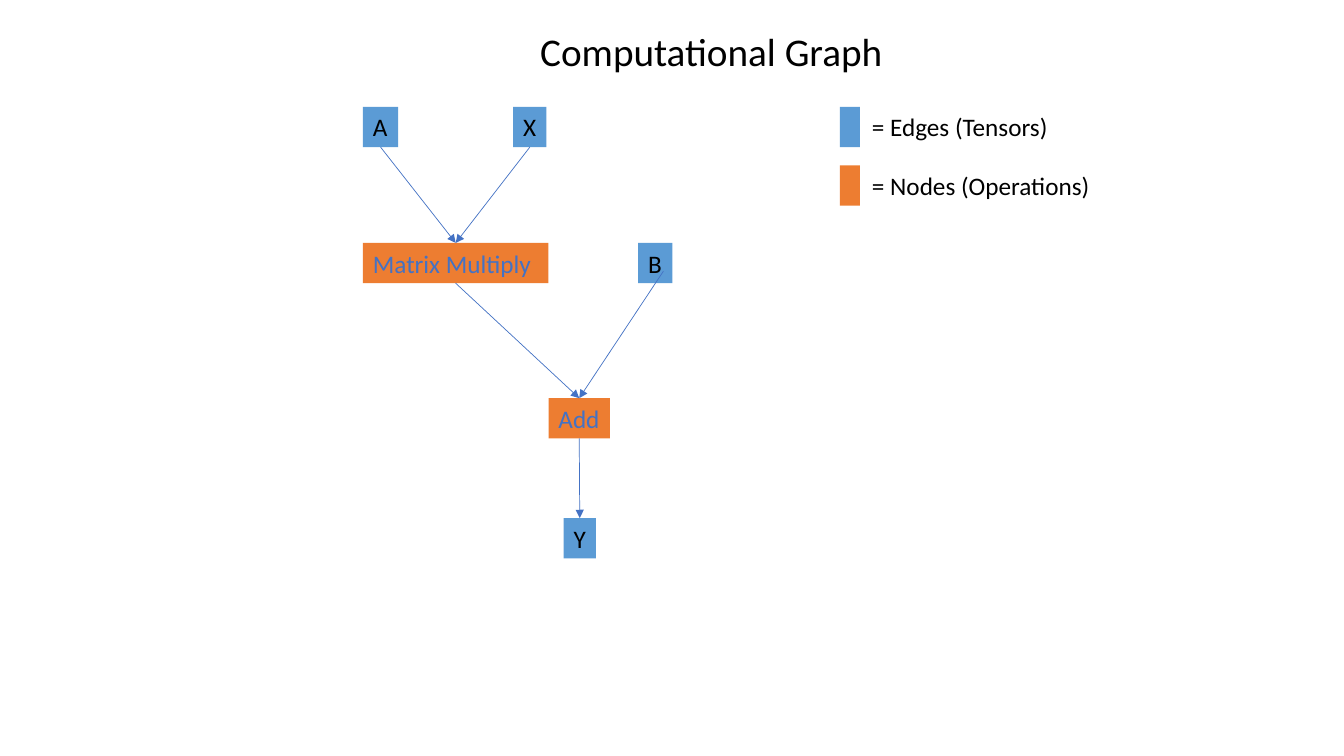
from lxml import etree
from pptx import Presentation
from pptx.dml.color import RGBColor
from pptx.enum.shapes import MSO_CONNECTOR, MSO_SHAPE
from pptx.enum.text import MSO_ANCHOR, PP_ALIGN
from pptx.oxml.ns import qn
from pptx.util import Inches, Pt

RECTANGLE = MSO_SHAPE.RECTANGLE
STRAIGHT = MSO_CONNECTOR.STRAIGHT
TOP = MSO_ANCHOR.TOP
LEFT = PP_ALIGN.LEFT

BLUE, ORANGE, INK, LINK = "5B9BD5", "ED7D31", "000000", "4472C4"
BOX_HEIGHT = 0.4
TOP_SITE, BOTTOM_SITE = 0, 2

TENSORS = [("A", 3.6, 1.06, 0.35), ("X", 5.09, 1.06, 0.33),
           ("B", 6.33, 2.41, 0.34), ("Y", 5.59, 5.14, 0.32)]
OPERATIONS = [("Matrix Multiply", 3.6, 2.41, 1.84), ("Add", 5.44, 3.95, 0.61)]
LINKS = [("A", "Matrix Multiply"), ("X", "Matrix Multiply"),
         ("Matrix Multiply", "Add"), ("Add", "Y")]
LEGEND = [("= Edges (Tensors)", BLUE, 1.97), ("= Nodes (Operations)", ORANGE, 2.39)]


def color(value):
    """Turn a hex string into a colour."""
    return RGBColor.from_string(value)


def apply_format(target, values):
    """Set each attribute named in values on the target."""
    for name, value in values.items():
        setattr(target, name, value)


def write_text(box, text, size, ink):
    """Write one left-aligned line into a shape."""
    frame = box.text_frame
    apply_format(frame, {"word_wrap": True, "vertical_anchor": TOP, "margin_right": 0})
    para = frame.paragraphs[0]
    para.alignment = LEFT
    span = para.add_run()
    span.text = text
    apply_format(span.font, {"name": "Calibri", "size": Pt(size)})
    span.font.color.rgb = color(ink)


def add_label(slide, text, left, top, width, height=BOX_HEIGHT, size=18):
    """Add a plain text box."""
    box = slide.shapes.add_textbox(*map(Inches, (left, top, width, height)))
    write_text(box, text, size, INK)


def add_block(slide, left, top, width, fill):
    """Add a filled rectangle without outline or shadow."""
    box = slide.shapes.add_shape(RECTANGLE, *map(Inches, (left, top, width, BOX_HEIGHT)))
    box.shadow.inherit = False
    box.fill.solid()
    box.fill.fore_color.rgb = color(fill)
    box.line.fill.background()
    return box


def add_arrow(slide, end_box, start_box=None, start=(0, 0)):
    """Add an arrow to the top of a box from another box or a point."""
    left, top = map(Inches, start)
    arrow = slide.shapes.add_connector(STRAIGHT, left, top, left, top)
    if start_box is not None:
        arrow.begin_connect(start_box, BOTTOM_SITE)
    arrow.end_connect(end_box, TOP_SITE)
    arrow.line.width = Pt(0.5)
    arrow.line.color.rgb = color(LINK)
    properties = arrow.line._get_or_add_ln()
    etree.SubElement(properties, qn("a:tailEnd"), type="triangle")
    etree.SubElement(properties.getparent(), qn("a:effectLst"))


def add_graph(slide):
    """Draw the tensors, the operations and the arrows between them."""
    boxes = {}
    for group, fill, ink in ((TENSORS, BLUE, INK), (OPERATIONS, ORANGE, LINK)):
        for name, left, top, width in group:
            boxes[name] = add_block(slide, left, top, width, fill)
            write_text(boxes[name], name, 18, ink)
    for source, target in LINKS:
        add_arrow(slide, boxes[target], boxes[source])
    add_arrow(slide, boxes["Add"], start=(6.58, 2.69))


def add_legend(slide):
    """Draw the colour key."""
    for row, (text, fill, width) in enumerate(LEGEND):
        top = 1.06 + 0.58 * row
        add_block(slide, 8.33, top, 0.2, fill)
        add_label(slide, text, 8.55, top, width)


def main():
    """Build and save the slide."""
    deck = Presentation()
    apply_format(deck, {"slide_width": Inches(13.33), "slide_height": Inches(7.5)})
    slide = deck.slides.add_slide(deck.slide_layouts[6])
    add_label(slide, "Computational Graph", 5.26, 0.22, 3.63, 0.57, 28)
    add_graph(slide)
    add_legend(slide)
    deck.save("out.pptx")


main()
